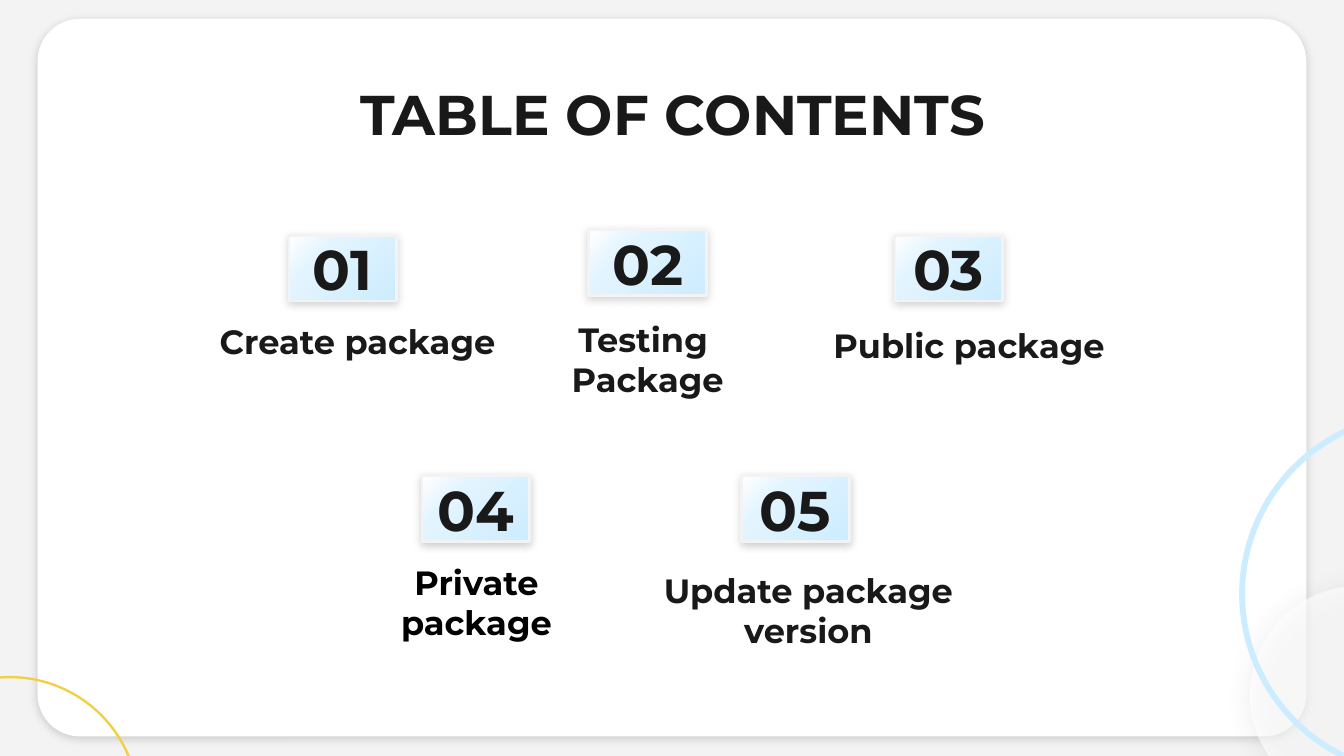
from lxml import etree
from pptx import Presentation
from pptx.dml.color import RGBColor
from pptx.enum.shapes import MSO_SHAPE as Shape
from pptx.enum.text import MSO_ANCHOR as Anchor, MSO_AUTO_SIZE as AutoSize, PP_ALIGN as Align
from pptx.oxml import parse_xml
from pptx.oxml.ns import nsdecls, qn
from pptx.util import Inches, Pt

FONT = "Montserrat"
COLORS = {
    "backdrop": "F3F3F3", "card": "FFFFFF", "ink": "191919", "black": "000000",
    "sky": "CCECFF", "pale_sky": "E2F4FF", "yellow": "F2D044", "grey": "595959",
}
# Number, number box, label lines, label box, label colour, label anchor, inset, shadow opacity
TOPICS = [
    ("01", (2.15, 1.75, 0.8, 0.49), ["Create package"],
     (1.3, 2.05, 2.72, 0.74), "ink", Anchor.BOTTOM, 0.1, 17),
    ("02", (4.38, 1.71, 0.88, 0.49), ["Testing ", "Package"],
     (3.46, 2.53, 2.72, 0.54), "ink", Anchor.BOTTOM, 0.1, 17),
    ("03", (6.66, 1.75, 0.8, 0.49), ["Public package"],
     (5.85, 2.08, 2.72, 0.74), "ink", Anchor.BOTTOM, 0.1, 17),
    ("04", (3.14, 3.54, 0.8, 0.49), ["Private package"],
     (2.42, 4.13, 2.25, 0.71), "black", Anchor.TOP, 0.05, 20),
    ("05", (5.52, 3.54, 0.8, 0.49), ["Update package version"],
     (4.74, 4.2, 2.55, 0.74), "ink", Anchor.BOTTOM, 0.1, 20),
]


def rgb(name):
    return RGBColor.from_string(COLORS[name])


def add_figure(page, kind, box, fill, adjust=None):
    figure = page.shapes.add_shape(kind, *map(Inches, box))
    if adjust is not None:
        figure.adjustments[0] = adjust
    figure.fill.solid()
    figure.fill.fore_color.rgb = rgb(fill)
    figure.line.fill.background()
    figure.shadow.inherit = False
    return figure


def add_shadow(figure, color, opacity, blur, distance, angle):
    effects = figure._element.spPr.find(qn("a:effectLst"))
    effects.append(parse_xml(
        f'<a:outerShdw {nsdecls("a")} blurRad="{Pt(blur)}" dist="{Pt(distance)}" '
        f'dir="{angle * 60000}" algn="bl" rotWithShape="0"><a:srgbClr val="{COLORS[color]}">'
        f'<a:alpha val="{opacity * 1000}"/></a:srgbClr></a:outerShdw>'))


def set_gradient(figure):
    """Blend from sky at the bottom right to white at the top left."""
    stops = "".join(
        f'<a:gs pos="{position * 1000}"><a:srgbClr val="{COLORS[name]}"/></a:gs>'
        for position, name in [(0, "sky"), (69, "pale_sky"), (100, "card")])
    properties = figure._element.spPr
    solid = properties.find(qn("a:solidFill"))
    properties.replace(solid, parse_xml(
        f'<a:gradFill {nsdecls("a")} rotWithShape="1"><a:gsLst>{stops}</a:gsLst>'
        f'<a:lin ang="{225 * 60000}" scaled="0"/></a:gradFill>'))


def write(figure, lines, size, color="ink", anchor=Anchor.MIDDLE, inset=0.1):
    frame = figure.text_frame
    frame.word_wrap = True
    frame.auto_size = AutoSize.NONE
    frame.vertical_anchor = anchor
    frame.margin_left = frame.margin_right = Inches(0.1)
    frame.margin_top = frame.margin_bottom = Inches(inset)
    frame.text = "\n".join(lines)
    for para in frame.paragraphs:
        para.alignment = Align.CENTER
        para.font.name = FONT
        para.font.size = Pt(size)
        para.font.bold = True
        para.font.color.rgb = rgb(color)


def add_backdrop(page):
    page.background.fill.solid()
    page.background.fill.fore_color.rgb = rgb("backdrop")
    # Card
    card = add_figure(page, Shape.ROUNDED_RECTANGLE, (0.28, 0.14, 9.44, 5.34), "card", 0.059)
    add_shadow(card, "black", 17, 4.5, 1.5, 90)
    # Translucent disc
    disc = add_figure(page, Shape.OVAL, (9.3, 4.36, 1.62, 1.62), "card")
    color = disc._element.spPr.find(qn("a:solidFill"))[0]
    etree.SubElement(color, qn("a:alpha"), val="62000")
    add_shadow(disc, "grey", 19, 14.6, 2.2, 74)
    # Corner rings
    add_figure(page, Shape.DONUT, (9.22, 3.06, 2.72, 2.72), "sky", 0.016)
    add_figure(page, Shape.DONUT, (-0.89, 5.03, 1.93, 1.93), "yellow", 0.009)


def add_title(page, box, text):
    title = page.shapes.title
    title.left, title.top, title.width, title.height = map(Inches, box)
    write(title, [text], 30, anchor=Anchor.TOP)
    # Bring the title in front of the card
    title._element.getparent().append(title._element)


def add_topic(page, number, number_box, lines, label_box, color, anchor, inset, opacity):
    badge = add_figure(page, Shape.RECTANGLE, number_box, "sky")
    set_gradient(badge)
    badge.line.color.rgb = rgb("backdrop")
    badge.line.width = Pt(1.5)
    add_shadow(badge, "black", opacity, 4.5, 1.5, 90)
    write(badge, [number], 30)
    label = page.shapes.add_textbox(*map(Inches, label_box))
    write(label, lines, 18, color, anchor, inset)


def main():
    deck = Presentation()
    # Widescreen, 16:9
    deck.slide_width = Inches(10)
    deck.slide_height = deck.slide_width * 9 // 16
    page = deck.slides.add_slide(deck.slide_layouts[5])
    add_backdrop(page)
    add_title(page, (0.79, 0.49, 8.43, 0.63), "TABLE OF CONTENTS")
    for topic in TOPICS:
        add_topic(page, *topic)
    deck.save("out.pptx")


if __name__ == "__main__":
    main()
